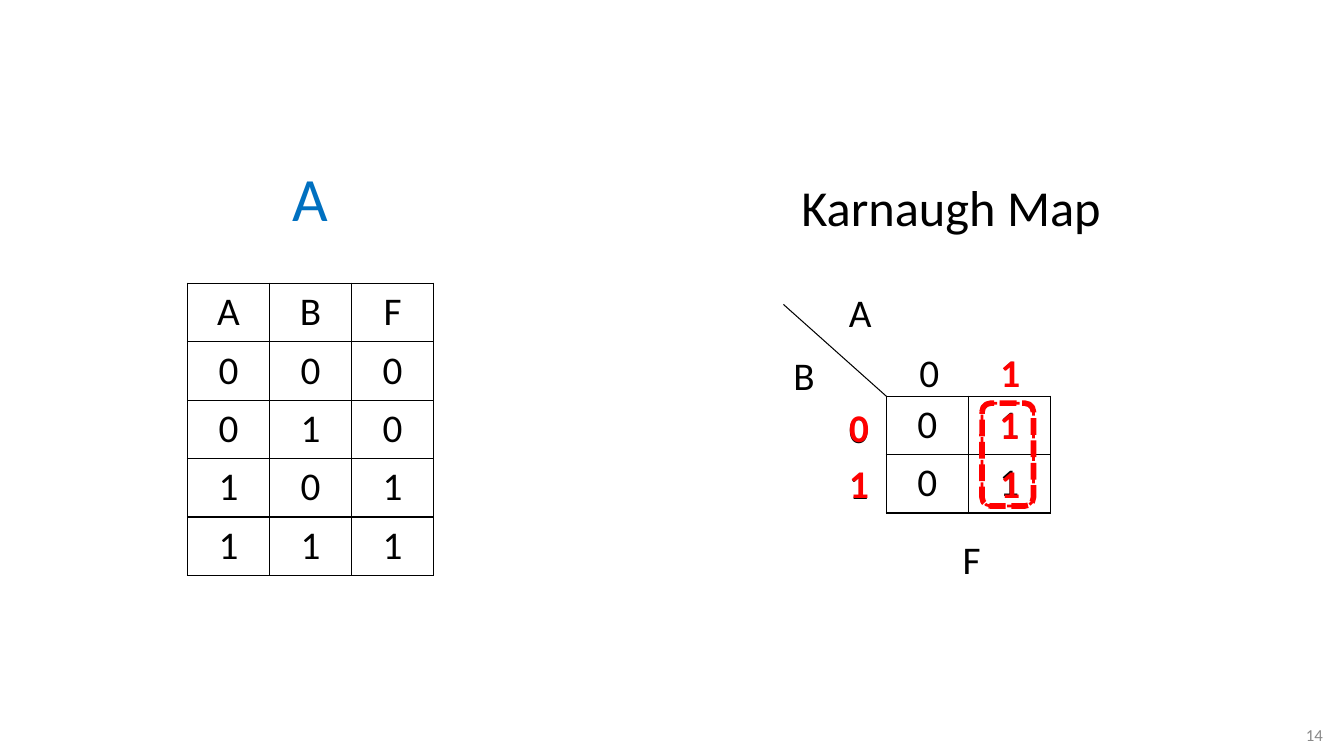
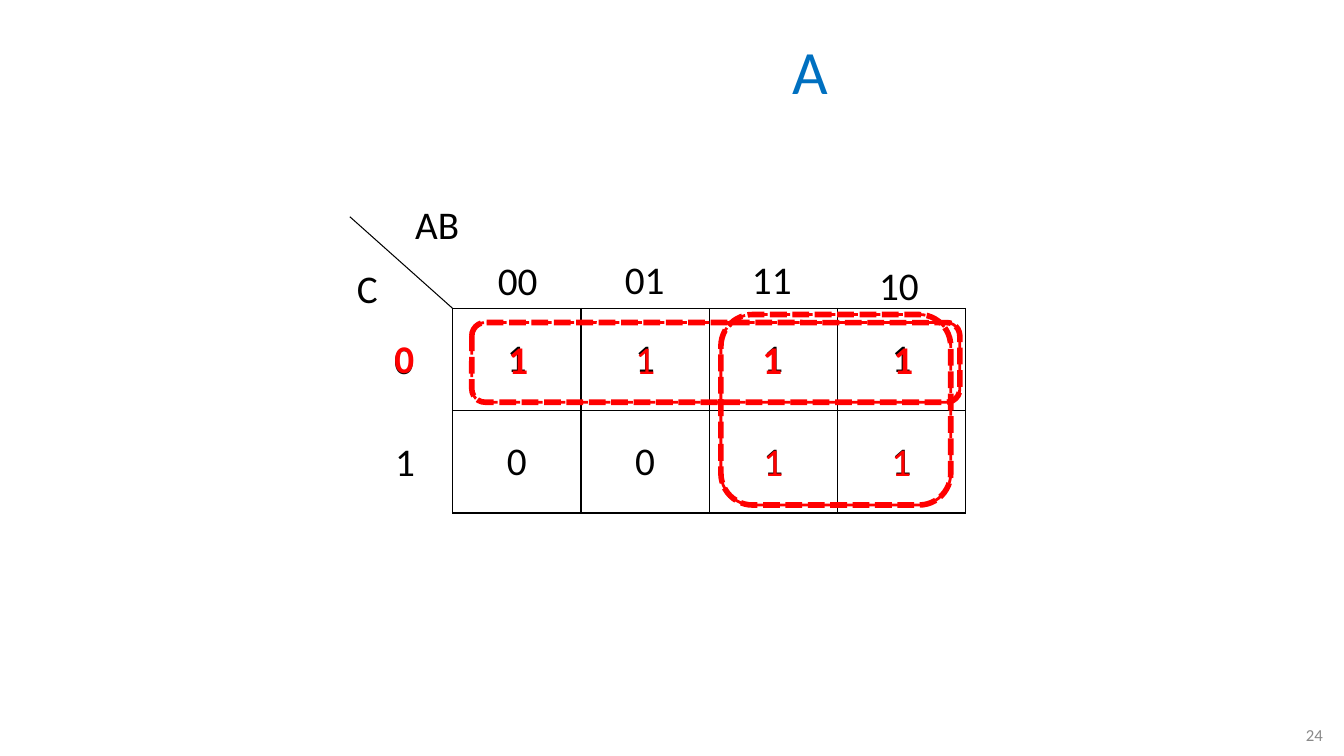
"""Build two Karnaugh map slides with their truth table, groupings and result."""
from lxml import etree
from pptx import Presentation
from pptx.dml.color import RGBColor
from pptx.enum.dml import MSO_LINE
from pptx.enum.shapes import MSO_CONNECTOR, MSO_SHAPE
from pptx.enum.text import MSO_ANCHOR, MSO_AUTO_SIZE, PP_ALIGN
from pptx.oxml.ns import qn
from pptx.util import Inches, Pt

DASH = MSO_LINE.SQUARE_DOT
ROUNDED = MSO_SHAPE.ROUNDED_RECTANGLE
STRAIGHT = MSO_CONNECTOR.STRAIGHT
LEFT, CENTER, RIGHT = PP_ALIGN.LEFT, PP_ALIGN.CENTER, PP_ALIGN.RIGHT
TOP, MIDDLE = MSO_ANCHOR.TOP, MSO_ANCHOR.MIDDLE
FIT = MSO_AUTO_SIZE.SHAPE_TO_FIT_TEXT

FONT = "Calibri"
BLACK, RED, BLUE, GRAY = "000000", "FF0000", "0070C0", "898989"
BODY_SIZE, HEADING_SIZE, RESULT_SIZE, NUMBER_SIZE = 28, 36, 44, 12
LABEL_HEIGHT, MARK_WIDTH = 0.57, 0.52
AXIS_WIDTH, AXIS_HEIGHT = 1.02, 0.91
THIN, THICK = 2, 4

SLIDES = [
    {
        "number": "14",
        "result": ("A", 2.8, 1.54),
        "heading": ("Karnaugh Map", 7.85, 1.7, 3.2),
        "truth_table": {
            "corner": (1.86, 2.81), "cell": (0.814, 0.58), "anchor": TOP,
            "rows": ["ABF", "000", "010", "101", "111"],
        },
        "map": {
            "corner": (8.79, 3.93), "cell": (0.814, 0.58), "anchor": TOP,
            "rows": ["01", "01"],
        },
        "labels": [
            ("F", 9.45, 5.26, 0.38), ("A", 8.32, 2.81, 0.43), ("B", 7.77, 3.44, 0.42),
            ("0", 9.02, 3.41, 0.4), ("1", 9.82, 3.41, 0.4),
            ("0", 8.32, 3.96, 0.4), ("1", 8.32, 4.52, 0.4),
        ],
        "loops": [(9.74, 4, 0.51, 1.02)],
        "marks": [
            ("1", 9.76, 3.41, True), ("1", 9.75, 3.92, True), ("1", 9.76, 4.51, True),
            ("0", 8.26, 3.95, True), ("1", 8.26, 4.51, True),
        ],
    },
    {
        "number": "24",
        "result": ("A", 7.76, 0.28),
        "map": {
            "corner": (4.49, 3.06), "cell": (1.272, 1.015), "anchor": MIDDLE,
            "rows": ["1111", "0011"],
        },
        "labels": [
            ("C", 3.44, 2.57, 0.41), ("AB", 4.02, 1.94, 0.64),
            ("00", 4.84, 2.49, 0.6), ("01", 6.1, 2.48, 0.6),
            ("11", 7.36, 2.48, 0.6), ("10", 8.62, 2.54, 0.6),
            ("0", 3.81, 3.28, 0.4), ("1", 3.82, 4.29, 0.4),
        ],
        "loops": [(4.68, 3.2, 4.84, 0.79), (7.15, 3.12, 2.28, 1.89)],
        "marks": [
            ("1", 4.88, 3.28, True), ("1", 6.14, 3.28, False),
            ("1", 7.4, 3.28, True), ("1", 8.7, 3.28, True),
            ("0", 3.75, 3.27, True),
            ("1", 7.41, 4.29, False), ("1", 8.68, 4.29, False),
        ],
    },
]


def color(value):
    return RGBColor.from_string(value)


def write(paragraph, text, size=BODY_SIZE, fill=BLACK, bold=False, align=LEFT):
    paragraph.alignment = align
    run = paragraph.add_run()
    run.text = text
    run.font.name = FONT
    run.font.size = Pt(size)
    run.font.bold = bold
    run.font.color.rgb = color(fill)


def add_text(slide, text, left, top, width, height=LABEL_HEIGHT, wrap=False, **style):
    box = slide.shapes.add_textbox(*map(Inches, (left, top, width, height)))
    box.text_frame.word_wrap = wrap
    box.text_frame.auto_size = FIT
    write(box.text_frame.paragraphs[0], text, **style)
    return box


def add_border(cell):
    properties = cell._tc.get_or_add_tcPr()
    for position, side in enumerate(("a:lnL", "a:lnR", "a:lnT", "a:lnB")):
        line = etree.Element(qn(side), w=str(Pt(1)))
        fill = etree.SubElement(line, qn("a:solidFill"))
        etree.SubElement(fill, qn("a:srgbClr"), val=BLACK)
        properties.insert(position, line)


def add_grid(slide, corner, cell, anchor, rows):
    row_count, column_count = len(rows), len(rows[0])
    size = (cell[0] * column_count, cell[1] * row_count)
    frame = slide.shapes.add_table(row_count, column_count, *map(Inches, corner + size))
    table = frame.table
    table.first_row = table.horz_banding = False
    for row, values in enumerate(rows):
        for column, value in enumerate(values):
            table_cell = table.cell(row, column)
            table_cell.fill.background()
            table_cell.vertical_anchor = anchor
            add_border(table_cell)
            write(table_cell.text_frame.paragraphs[0], value, align=CENTER)


def add_axis(slide, left, top):
    ends = (left, top, left - AXIS_WIDTH, top - AXIS_HEIGHT)
    axis = slide.shapes.add_connector(STRAIGHT, *map(Inches, ends))
    axis.line.color.rgb = color(BLACK)
    axis.line.width = Pt(0.75)
    etree.SubElement(axis._element.spPr, qn("a:effectLst"))


def add_loop(slide, bounds, width):
    loop = slide.shapes.add_shape(ROUNDED, *map(Inches, bounds))
    loop.shadow.inherit = False
    loop.fill.background()
    loop.line.color.rgb = color(RED)
    loop.line.width = Pt(width)
    loop.line.dash_style = DASH


def add_number(slide, number):
    box = add_text(slide, number, 11.79, 7.14, 1.43, 0.29, wrap=True,
                   size=NUMBER_SIZE, fill=GRAY, align=RIGHT)
    box.text_frame.auto_size = MSO_AUTO_SIZE.NONE
    box.text_frame.vertical_anchor = MIDDLE


def build_slide(presentation, content):
    slide = presentation.slides.add_slide(presentation.slide_layouts[6])
    if "truth_table" in content:
        add_grid(slide, **content["truth_table"])
    if "heading" in content:
        add_text(slide, *content["heading"], height=0.71, size=HEADING_SIZE)
    add_grid(slide, **content["map"])
    add_axis(slide, *content["map"]["corner"])
    for label in content["labels"]:
        add_text(slide, *label)
    for width in (THIN, THICK):
        for bounds in content["loops"]:
            add_loop(slide, bounds, width)
    for text, left, top, bold in content["marks"]:
        add_text(slide, text, left, top, MARK_WIDTH, wrap=True,
                 fill=RED, bold=bold, align=CENTER)
    add_text(slide, *content["result"], 0.56, 0.84, size=RESULT_SIZE, fill=BLUE)
    add_number(slide, content["number"])


def main():
    presentation = Presentation()
    presentation.slide_width = Inches(13.33)
    presentation.slide_height = Inches(7.5)
    for content in SLIDES:
        build_slide(presentation, content)
    presentation.save("out.pptx")


if __name__ == "__main__":
    main()
